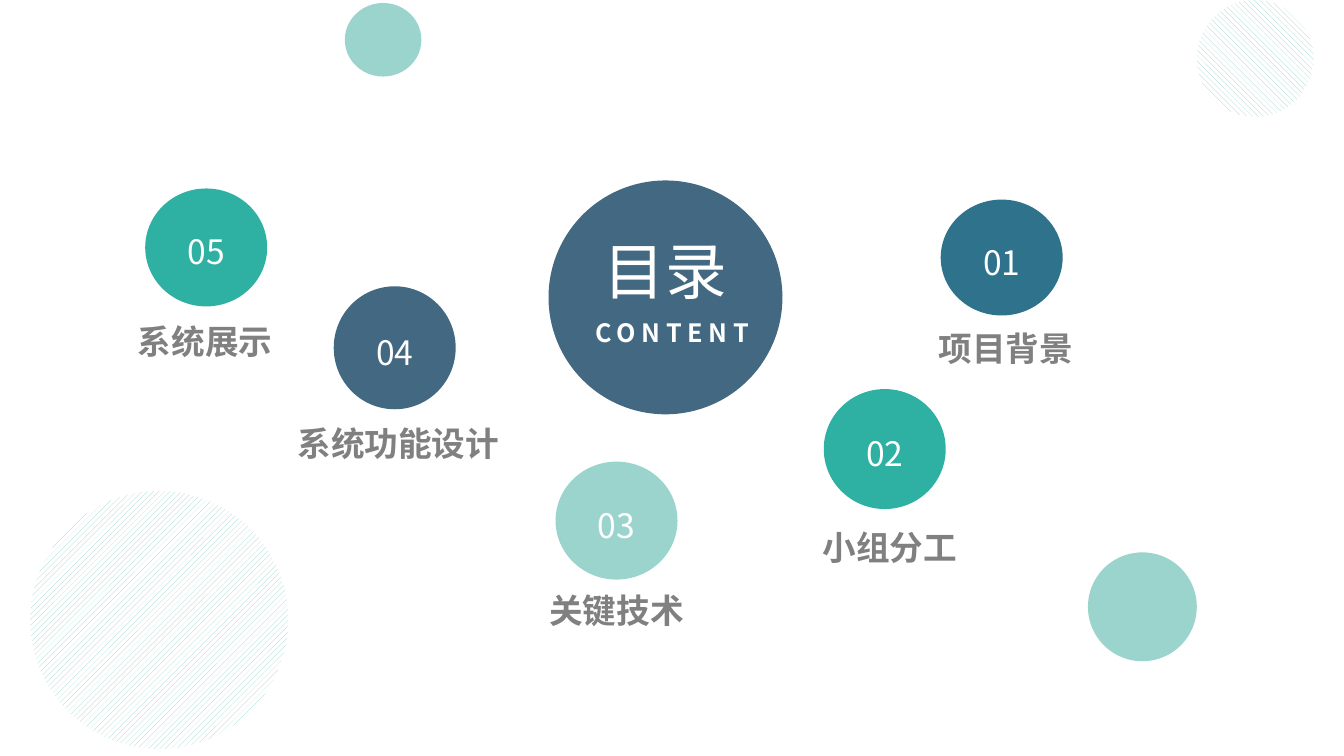
import pptx
import pptx.dml.color
import pptx.enum.dml
import pptx.enum.shapes
import pptx.enum.text
import pptx.oxml
import pptx.oxml.ns
import pptx.util

PX = 9144
FONT = "Noto Sans CJK SC"
WHITE, GREY = "FFFFFF", "808080"
NAVY, BLUE, TEAL, MINT = "436982", "2F728B", "2EB0A2", "9BD4CC"
ALIGN = pptx.enum.text.PP_ALIGN
ANCHOR = pptx.enum.text.MSO_ANCHOR
PATTERN = pptx.enum.dml.MSO_PATTERN

CHAPTERS = [
    ("01", "项目背景", BLUE, (933, 198, 121, 115), (-8, 121, 145)),
    ("02", "小组分工", TEAL, (817, 386, 121, 119), (-9, 131, 149)),
    ("03", "关键技术", MINT, (551, 458, 121, 117), (-14, 121, 149)),
    ("04", "系统功能设计", NAVY, (331, 284, 121, 122), (-47, 130, 222)),
    ("05", "系统展示", TEAL, (144, 187, 121, 117), (-16, 125, 151)),
]
DECORATIONS = [
    (MINT, (1079, 548, 108, 108), None),
    (MINT, (342, 3, 76, 73), None),
    (MINT, (30, 487, 256, 256), PATTERN.WIDE_UPWARD_DIAGONAL),
    (MINT, (1187, 0, 116, 116), PATTERN.WIDE_DOWNWARD_DIAGONAL),
]


def rgb(code):
    """Turn a hex string into a colour."""
    return pptx.dml.color.RGBColor.from_string(code)


def emu(box):
    """Turn px lengths into EMU."""
    return [pptx.util.Emu(n * PX) for n in box]


def write(sp, text, size, color, bold=False, align=ALIGN.CENTER, inset=0,
          anchor=ANCHOR.MIDDLE, spacing=None, wrap=True, grow=True, track=0):
    """Write one formatted run into a shape."""
    tf = sp.text_frame
    tf.word_wrap = wrap
    tf.vertical_anchor = anchor
    sizing = pptx.enum.text.MSO_AUTO_SIZE
    tf.auto_size = sizing.SHAPE_TO_FIT_TEXT if grow else sizing.NONE
    side, top = inset if isinstance(inset, tuple) else (inset, inset)
    tf.margin_left, tf.margin_top, tf.margin_right, tf.margin_bottom = emu(
        (side, top, side, top))
    p = tf.paragraphs[0]
    p.alignment = align
    p.line_spacing = spacing
    r = p.add_run()
    r.text = text
    r.font.size = pptx.util.Pt(size)
    r.font.name = FONT
    r.font.bold = bold
    r.font.color.rgb = rgb(color)
    rpr = r.font._element
    ea = pptx.oxml.parse_xml(
        f'<a:ea {pptx.oxml.ns.nsdecls("a")} typeface="{FONT}"/>')
    rpr.find(pptx.oxml.ns.qn("a:latin")).addnext(ea)
    if track:
        rpr.set("spc", str(track * 100))


def add_circle(slide, box, color, pattern=None):
    """Add a borderless ellipse with a solid or hatched fill."""
    sp = slide.shapes.add_shape(
        pptx.enum.shapes.MSO_SHAPE.OVAL, *emu(box))
    sp.shadow.inherit = False
    sp.line.fill.background()
    if pattern is None:
        sp.fill.solid()
        sp.fill.fore_color.rgb = rgb(color)
    else:
        sp.fill.patterned()
        sp.fill.pattern = pattern
        sp.fill.fore_color.rgb = rgb(color)
        sp.fill.back_color.rgb = rgb(WHITE)
    return sp


def add_chapter(slide, number, label, color, box, label_place):
    """Add a numbered circle and the label below it."""
    sp = add_circle(slide, box, color)
    write(sp, number, 24, WHITE, inset=2, spacing=1.2, grow=False)
    dx, dy, w = label_place
    tb = slide.shapes.add_textbox(*emu((box[0] + dx, box[1] + dy, w, 44)))
    write(tb, label, 24, GREY, bold=True, spacing=1.2)


def add_heading(slide, box):
    """Add the central circle with the title and its subtitle."""
    x, y = box[:2]
    add_circle(slide, box, NAVY)
    title = slide.shapes.title
    title.left, title.top, title.width, title.height = emu(
        (x + 45, y + 47, 144, 84))
    slide.shapes._spTree.append(title._element)
    write(title, "目录", 44, WHITE, align=ALIGN.LEFT, inset=(10, 5),
          anchor=ANCHOR.TOP, wrap=False)
    tb = slide.shapes.add_textbox(*emu((x + 36, y + 131, 174, 40)))
    write(tb, "CONTENT", 18, WHITE, bold=True, inset=(10, 5),
          anchor=ANCHOR.TOP, wrap=False, track=4)


def main():
    """Build the contents slide."""
    prs = pptx.Presentation()
    prs.slide_width, prs.slide_height = emu((1333, 750))
    slide = prs.slides.add_slide(prs.slide_layouts[5])
    for chapter in CHAPTERS:
        add_chapter(slide, *chapter)
    add_heading(slide, (544, 179, 232, 232))
    for color, box, pattern in DECORATIONS:
        add_circle(slide, box, color, pattern)
    prs.save("out.pptx")


if __name__ == "__main__":
    main()
